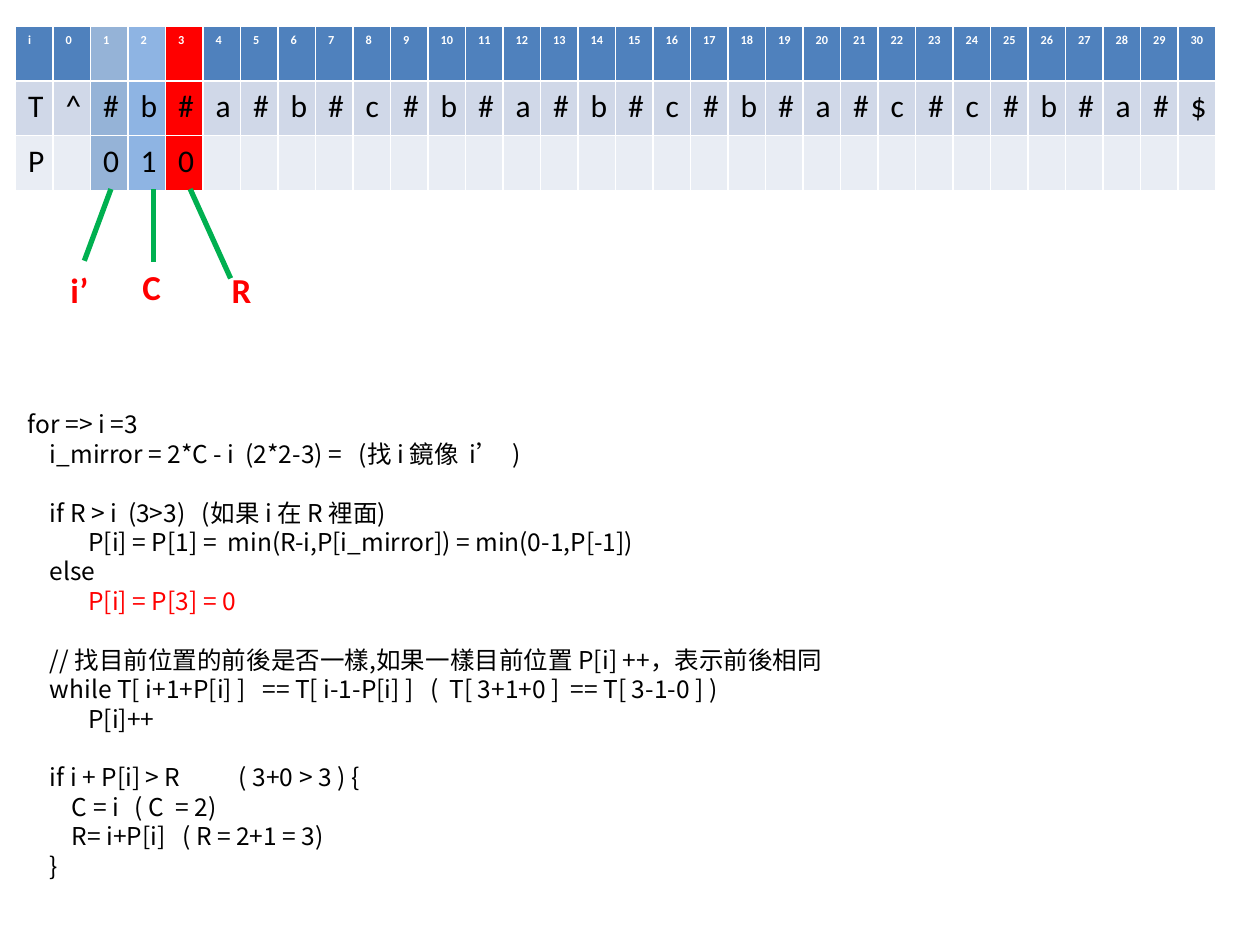
from pptx import Presentation
from pptx.util import Pt
from pptx.dml.color import RGBColor
from pptx.enum.shapes import MSO_CONNECTOR
from pptx.enum.text import MSO_AUTO_SIZE
from pptx.oxml.ns import qn
from lxml import etree

LINE = MSO_CONNECTOR.STRAIGHT
GROW = MSO_AUTO_SIZE.SHAPE_TO_FIT_TEXT
RED, BLACK, WHITE, GREEN = "FF0000", "000000", "FFFFFF", "00B050"


def rgb(value):
    return RGBColor.from_string(value)


def add_text(p, text, color, **fmt):
    r = p.add_run()
    r.text = text
    r.font.color.rgb = rgb(color)
    for name, value in fmt.items():
        setattr(r.font, name, value)
    return r


prs = Presentation()
prs.slide_width, prs.slide_height = Pt(720), Pt(540)
s = prs.slides.add_slide(prs.slide_layouts[6])

rows = [
    ["i", *map(str, range(31))],
    ["T", *"^#b#a#b#c#b#a#b#c#b#a#c#c#b#a#$"],
    ["P", "", "0", "1", "0", *[""] * 27],
]
row_fills = ["4F81BD", "D0D8E8", "E9EDF4"]
marked_fills = {2: "95B3D7", 3: "8EB4E3", 4: RED}
header = {"size": Pt(7), "bold": True, "name": "Calibri"}
body = {"size": Pt(18), "bold": False, "name": "Calibri"}

table = s.shapes.add_table(3, 32, Pt(8.9), Pt(15.2), Pt(686), Pt(94)).table
for col in table.columns:
    col.width = Pt(21.43)
for i, texts in enumerate(rows):
    table.rows[i].height = Pt(31.2)
    for j, text in enumerate(texts):
        cell = table.cell(i, j)
        cell.margin_right = 0
        cell.fill.solid()
        cell.fill.fore_color.rgb = rgb(marked_fills.get(j, row_fills[i]))
        if text:
            add_text(cell.text_frame.paragraphs[0], text,
                     BLACK if i else WHITE, **(body if i else header))

PITCH, SPACE = 16.8, 3.14
code = [
    (0, 0, "for => i =3", None),
    (4, 0, "i_mirror = 2*C - i  (2*2-3) =   (找 i 鏡像  i’  )", None),
    (4, 1, "if R > i  (3>3)   (如果 i 在 R 裡面)", None),
    (11, 0, "P[i] = P[1] =  min(R-i,P[i_mirror]) = min(0-1,P[-1])", None),
    (4, 0, "else", None),
    (11, 0, "P[i] = P[3] = 0", None),
    (4, 1, "// 找目前位置的前後是否一樣,如果一樣目前位置 P[i] ++，表示前後相同", None),
    (4, 0, "while T[ i+1+P[i] ]   == T[ i-1-P[i] ]   (  T[ 3+1+0 ]  == T[ 3-1-0 ] )", None),
    (11, 0, "P[i]++", None),
    (4, 1, "if i + P[i] > R\t( 3+0 > 3 ) {", 99.6),
    (8, 0, "C = i\t( C  = 2)", 80.2),
    (8, 0, "R= i+P[i]   ( R = 2+1 = 3)", None),
    (4, 0, "}", None),
]
tf = s.shapes.add_textbox(Pt(8.9), Pt(230.4), Pt(686), Pt(296)).text_frame
tf.word_wrap = True
for n, (indent, gap, text, tab) in enumerate(code):
    p = tf.add_paragraph() if n else tf.paragraphs[0]
    p.line_spacing = Pt(PITCH)
    p.space_before = Pt(gap * PITCH)
    pPr = p._p.get_or_add_pPr()
    pPr.set("marL", str(Pt(indent * SPACE)))
    pPr.set("indent", "0")
    if tab:
        tabs = etree.SubElement(pPr, qn("a:tabLst"))
        etree.SubElement(tabs, qn("a:tab"), pos=str(Pt(tab)), algn="l")
    r = add_text(p, text, RED if "P[3]" in text else BLACK,
                 size=Pt(14), name="Noto Sans CJK SC")
    etree.SubElement(r._r.get_or_add_rPr(), qn("a:ea"), typeface="Noto Sans CJK SC")

pointers = [
    ("i’", 33.1, 149.8, (63.4, 108), (48.2, 149)),
    ("C", 74.2, 148.3, (87.8, 108), (87.8, 149.8)),
    ("R", 125.3, 149.8, (108.7, 108), (131.8, 159.1)),
]
for label, left, top, start, end in pointers:
    line = s.shapes.add_connector(LINE, *map(Pt, start + end))
    line.line.color.rgb = rgb(GREEN)
    line.line.width = Pt(3)
    etree.SubElement(line._element.spPr, qn("a:effectLst"))
    tf = s.shapes.add_textbox(Pt(left), Pt(top), Pt(25.2), Pt(31.5)).text_frame
    tf.word_wrap = False
    tf.auto_size = GROW
    add_text(tf.paragraphs[0], label, RED, size=Pt(20), bold=True, name="Calibri")

prs.save("out.pptx")
